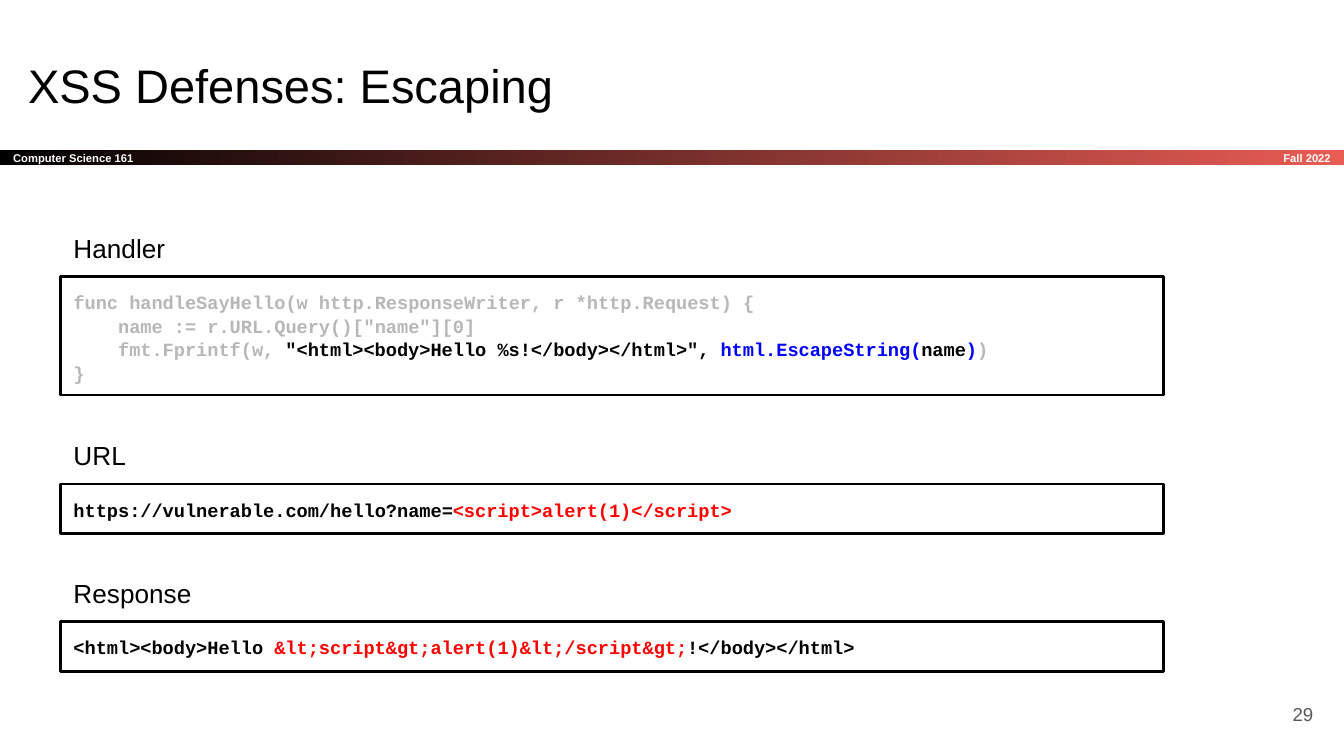
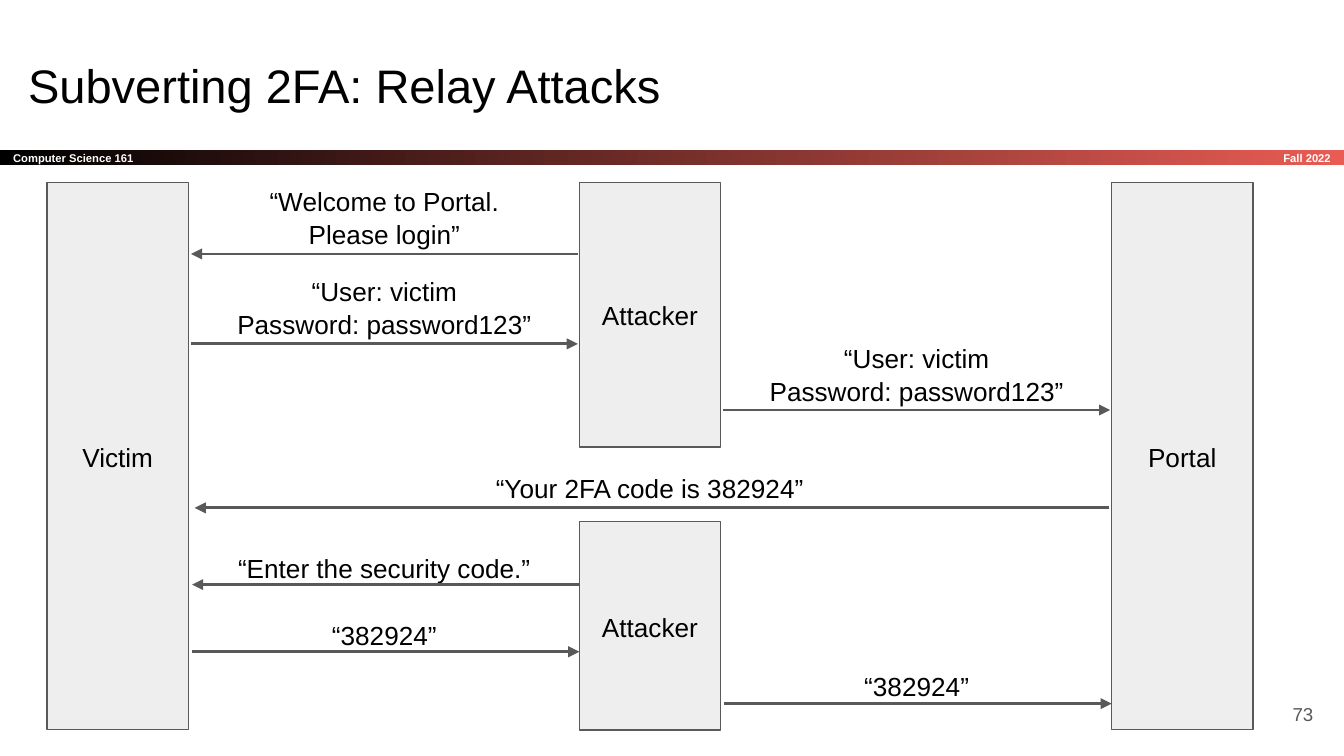
from lxml import etree
from pptx import Presentation
from pptx.dml.color import RGBColor
from pptx.enum.shapes import MSO_CONNECTOR as Connector, MSO_SHAPE as Shape
from pptx.enum.text import MSO_ANCHOR as Anchor, MSO_AUTO_SIZE as AutoSize, PP_ALIGN as Align
from pptx.oxml.ns import qn
from pptx.util import Cm, Pt

BLACK, WHITE, CORAL = "000000", "FFFFFF", "E85C54"
DARK_GRAY, FADED, PALE = "595959", "B7B7B7", "EEEEEE"
BLUE, RED = "0000FF", "FF0000"
SANS, MONO = "Arial", "Courier New"
SLIDE_WIDTH, SLIDE_HEIGHT = 25.4, 14.29


def color(hex_string):
    return RGBColor.from_string(hex_string)


class Deck:
    inset = Cm(0.25)
    line_spacing = 1.05
    band_top, band_height = 2.83, 0.3

    def __init__(self):
        self.presentation = Presentation()
        self.presentation.slide_width = Cm(SLIDE_WIDTH)
        self.presentation.slide_height = Cm(SLIDE_HEIGHT)
        self.slide = None

    def fill_text(self, shape, lines, size, font=SANS, bold=False,
                  align=Align.LEFT, anchor=Anchor.TOP):
        frame = shape.text_frame
        frame.auto_size = AutoSize.NONE
        frame.word_wrap = True
        frame.vertical_anchor = anchor
        frame.margin_left = frame.margin_right = self.inset
        frame.margin_top = frame.margin_bottom = self.inset
        for index, runs in enumerate(lines):
            paragraph = frame.add_paragraph() if index else frame.paragraphs[0]
            paragraph.alignment = align
            paragraph.line_spacing = self.line_spacing
            paragraph.space_before = Pt(0)
            for text, text_color in runs:
                for part_index, part in enumerate(text.split("\n")):
                    if part_index:
                        paragraph.add_line_break()
                    run = paragraph.add_run()
                    run.text = part
                    run.font.name = font
                    run.font.size = Pt(size)
                    run.font.bold = bold
                    run.font.color.rgb = color(text_color)

    def text(self, content, left, top, width, height, size=14, text_color=BLACK, **style):
        box = self.slide.shapes.add_textbox(Cm(left), Cm(top), Cm(width), Cm(height))
        self.fill_text(box, [[(content, text_color)]], size, **style)

    def rectangle(self, left, top, width, height, fill=None, line=None, weight=0.75):
        shape = self.slide.shapes.add_shape(
            Shape.RECTANGLE, Cm(left), Cm(top), Cm(width), Cm(height))
        shape.shadow.inherit = False
        if fill:
            shape.fill.solid()
            shape.fill.fore_color.rgb = color(fill)
        if line:
            shape.line.color.rgb = color(line)
            shape.line.width = Pt(weight)
        else:
            shape.line.fill.background()
        return shape

    def arrow(self, start, end, y):
        connector = self.slide.shapes.add_connector(
            Connector.STRAIGHT, Cm(start), Cm(y), Cm(end), Cm(y))
        connector.line.color.rgb = color(DARK_GRAY)
        connector.line.width = Pt(1.5)
        properties = connector._element.spPr
        etree.SubElement(properties.find(qn("a:ln")), qn("a:tailEnd"), type="triangle")
        etree.SubElement(properties, qn("a:effectLst"))

    def band(self):
        band = self.rectangle(0, self.band_top, SLIDE_WIDTH, self.band_height)
        band.fill.gradient()
        band.fill.gradient_angle = 0
        for stop, stop_color in zip(band.fill.gradient_stops, (BLACK, CORAL)):
            stop.color.rgb = color(stop_color)
        self.fill_text(band, [[("Computer Science 161", WHITE)]], 6,
                       bold=True, anchor=Anchor.MIDDLE)
        self.text("Fall 2022", 21.18, self.band_top, 4.22, self.band_height, 6, WHITE,
                  bold=True, align=Align.RIGHT, anchor=Anchor.MIDDLE)

    def add_slide(self, title, number):
        self.slide = self.presentation.slides.add_slide(self.presentation.slide_layouts[5])
        self.band()
        heading = self.slide.shapes.title
        heading.left, heading.top = Cm(0.28), Cm(0.76)
        heading.width, heading.height = Cm(23.67), Cm(1.6)
        self.fill_text(heading, [[(title, BLACK)]], 25.2)
        self.text(number, 23.55, 12.95, 1.52, 1.09, 10, DARK_GRAY,
                  align=Align.RIGHT, anchor=Anchor.MIDDLE)

    def code_block(self, label, label_width, top, height, lines):
        left, label_height = 1.14, 1.12
        box = self.rectangle(left, top + label_height, 20.85, height, WHITE, BLACK, 1.5)
        self.fill_text(box, lines, 10, MONO, bold=True)
        self.text(label, left, top, label_width, label_height)

    def actor(self, name, column, top, height):
        box = self.rectangle(0.89 + column * 10.06, top, 2.67, height, PALE, DARK_GRAY)
        self.fill_text(box, [[(name, BLACK)]], 14, align=Align.CENTER, anchor=Anchor.MIDDLE)


def escaping_slide(deck):
    deck.add_slide("XSS Defenses: Escaping", "29")
    handler = [
        [("func handleSayHello(w http.ResponseWriter, r *http.Request) {", FADED)],
        [('    name := r.URL.Query()["name"][0]', FADED)],
        [("    fmt.Fprintf(w, ", FADED),
         ('"<html><body>Hello %s!</body></html>", ', BLACK),
         ("html.EscapeString(", BLUE), ("name", BLACK), (")", BLUE), (")", FADED)],
        [("}", FADED)],
    ]
    url = [[("https://vulnerable.com/hello?name=", BLACK),
            ("<script>alert(1)</script>", RED)]]
    response = [[("<html><body>Hello ", BLACK),
                 ("&lt;script&gt;alert(1)&lt;/script&gt;", RED),
                 ("!</body></html>", BLACK)]]
    deck.code_block("Handler", 2.67, 4.11, 2.24, handler)
    deck.code_block("URL", 2.67, 8.03, 0.94, url)
    deck.code_block("Response", 3.05, 10.63, 0.94, response)


def relay_slide(deck):
    deck.add_slide("Subverting 2FA: Relay Attacks", "73")
    actors = [
        ("Victim", 0, 3.45, 10.34),
        ("Attacker", 1, 3.45, 5),
        ("Attacker", 1, 9.86, 3.94),
        ("Portal", 2, 3.45, 10.34),
    ]
    for actor in actors:
        deck.actor(*actor)

    credentials = "“User: victim\nPassword: password123”"
    code = "“382924”"
    near, far, whole = (3.58, 7.37), (13.64, 7.37), (3.58, 17.4)
    messages = [
        ("“Welcome to Portal.\nPlease login”", near, 3.23, 10.92, 3.61, 4.8),
        (credentials, near, 4.93, 3.61, 10.92, 6.5),
        (credentials, far, 6.2, 13.67, 20.98, 7.75),
        ("“Your 2FA code is 382924”", whole, 8.66, 20.96, 3.68, 9.6),
        ("“Enter the security code.”", near, 10.16, 10.95, 3.63, 11.05),
        (code, near, 11.43, 3.63, 10.95, 12.32),
        (code, far, 12.4, 13.69, 21.01, 13.3),
    ]
    for content, (left, width), top, start, end, y in messages:
        height = 1.7 if "\n" in content else 1.12
        deck.text(content, left, top, width, height, align=Align.CENTER)
        deck.arrow(start, end, y)


def main():
    deck = Deck()
    escaping_slide(deck)
    relay_slide(deck)
    deck.presentation.save("out.pptx")


if __name__ == "__main__":
    main()
